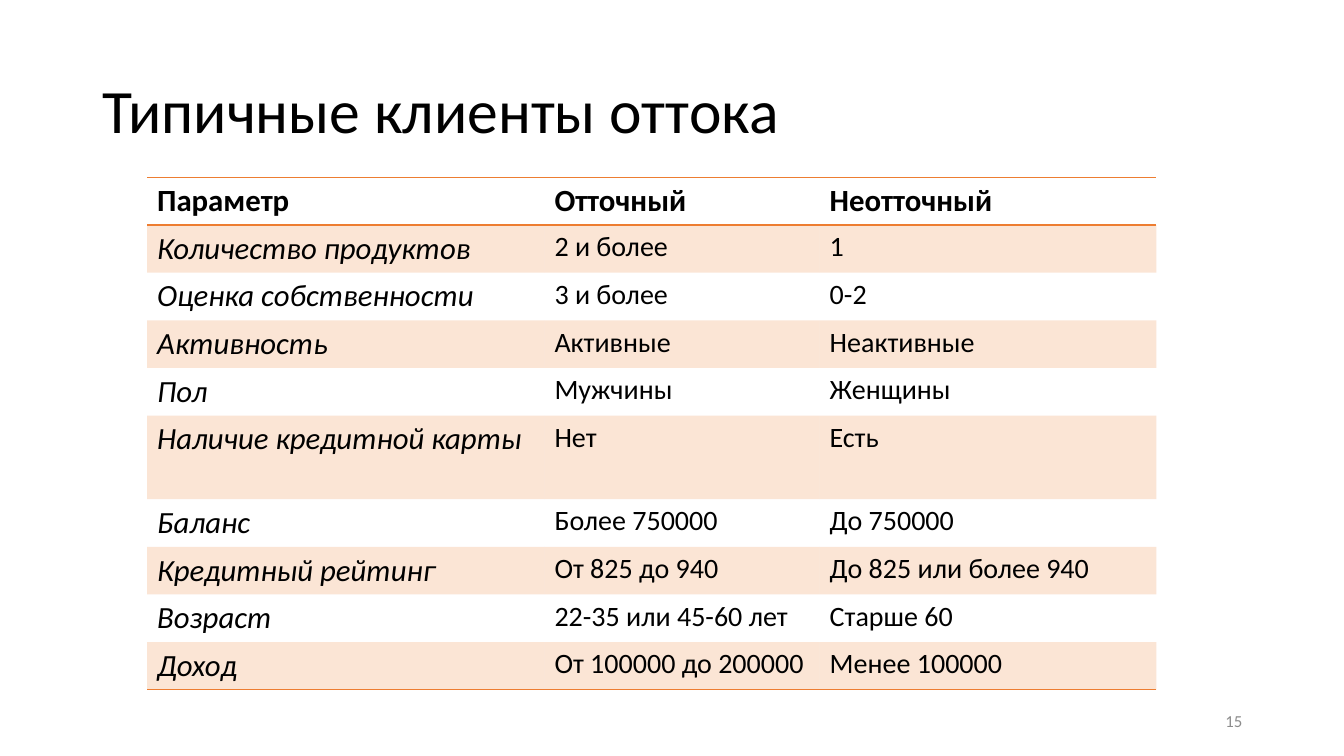
import pptx
import pptx.dml.color
import pptx.enum.text
import pptx.oxml.ns
import pptx.util
import lxml.etree

THEME = {
    "font": "Calibri",
    "text": pptx.dml.color.RGBColor.from_string("000000"),
    "muted": pptx.dml.color.RGBColor.from_string("8C8C8C"),
    "accent": pptx.dml.color.RGBColor.from_string("ED7D31"),
    "band_alpha": 20,
    "rule_width": pptx.util.Pt(1),
    "title_size": 44,
    "label_size": 22,
    "value_size": 20,
    "number_size": 12,
}
NO_STYLE = "{2D5ABB26-0587-4C30-8999-92F81FD0307C}"

presentation = pptx.Presentation()
presentation.slide_width = pptx.util.Inches(13.33)
presentation.slide_height = pptx.util.Inches(7.5)
# One percent of the slide, across and down
across = presentation.slide_width / 100
down = presentation.slide_height / 100


def add_run(paragraph, text, size, color=THEME["text"], bold=False, italic=False):
    run = paragraph.add_run()
    run.text = text
    run.font.name = THEME["font"]
    run.font.size = pptx.util.Pt(size)
    run.font.color.rgb = color
    run.font.bold = bold
    run.font.italic = italic


def add_rule(cell, side):
    properties = cell._tc.get_or_add_tcPr()
    line = lxml.etree.SubElement(
        properties, pptx.oxml.ns.qn(side), w=str(int(THEME["rule_width"])))
    fill = lxml.etree.SubElement(line, pptx.oxml.ns.qn("a:solidFill"))
    lxml.etree.SubElement(
        fill, pptx.oxml.ns.qn("a:srgbClr"), val=str(THEME["accent"]))


# Title
slide = presentation.slides.add_slide(presentation.slide_layouts[5])
title = slide.shapes.title
title.left, title.top = int(6.9 * across), int(5.33 * down)
title.width, title.height = int(86.25 * across), int(19.33 * down)
title.text_frame.auto_size = pptx.enum.text.MSO_AUTO_SIZE.NONE
title.text_frame.vertical_anchor = pptx.enum.text.MSO_ANCHOR.MIDDLE
paragraph = title.text_frame.paragraphs[0]
paragraph.alignment = pptx.enum.text.PP_ALIGN.LEFT
paragraph.line_spacing = 0.9
add_run(paragraph, "Типичные клиенты оттока", THEME["title_size"])

# Client comparison table
clients = [
    ("Параметр", "Отточный", "Неотточный"),
    ("Количество продуктов", "2 и более", "1"),
    ("Оценка собственности", "3 и более", "0-2"),
    ("Активность", "Активные", "Неактивные"),
    ("Пол", "Мужчины", "Женщины"),
    ("Наличие кредитной карты", "Нет", "Есть"),
    ("Баланс", "Более 750000", "До 750000"),
    ("Кредитный рейтинг", "От 825 до 940", "До 825 или более 940"),
    ("Возраст", "22-35 или 45-60 лет", "Старше 60"),
    ("Доход", "От 100000 до 200000", "Менее 100000"),
]
column_shares = [29.56, 20.48, 25.06]
row_shares = [6.3] * len(clients)
row_shares[5] = 11.07  # the credit card row is taller

table = slide.shapes.add_table(
    len(clients), len(column_shares),
    int(10.95 * across), int(23.47 * down),
    int(sum(column_shares) * across), int(sum(row_shares) * down)).table
table._tbl.tblPr.find(pptx.oxml.ns.qn("a:tableStyleId")).text = NO_STYLE
table.horz_banding = False
for column, share in zip(table.columns, column_shares):
    column.width = int(share * across)
for row, share in zip(table.rows, row_shares):
    row.height = int(share * down)

for row_index, texts in enumerate(clients):
    is_header = row_index == 0
    for column_index, text in enumerate(texts):
        cell = table.cell(row_index, column_index)
        is_label = column_index == 0
        size = THEME["label_size"] if is_header or is_label else THEME["value_size"]
        add_run(cell.text_frame.paragraphs[0], text, size,
                bold=is_header, italic=is_label and not is_header)

        # Rules around the header and under the last row
        if is_header:
            add_rule(cell, "a:lnT")
        if is_header or row_index == len(clients) - 1:
            add_rule(cell, "a:lnB")

        # Translucent band on every second row
        if row_index % 2:
            cell.fill.solid()
            cell.fill.fore_color.rgb = THEME["accent"]
            color = cell._tc.tcPr.find(
                pptx.oxml.ns.qn("a:solidFill") + "/" + pptx.oxml.ns.qn("a:srgbClr"))
            lxml.etree.SubElement(color, pptx.oxml.ns.qn("a:alpha"),
                                  val=str(THEME["band_alpha"] * 1000))
        else:
            cell.fill.background()

# Slide number
number = slide.shapes.add_textbox(
    int(70.67 * across), int(92.67 * down), int(22.5 * across), int(5.33 * down))
number.text_frame.word_wrap = True
number.text_frame.vertical_anchor = pptx.enum.text.MSO_ANCHOR.MIDDLE
paragraph = number.text_frame.paragraphs[0]
paragraph.alignment = pptx.enum.text.PP_ALIGN.RIGHT
add_run(paragraph, "15", THEME["number_size"], THEME["muted"])

presentation.save("out.pptx")
